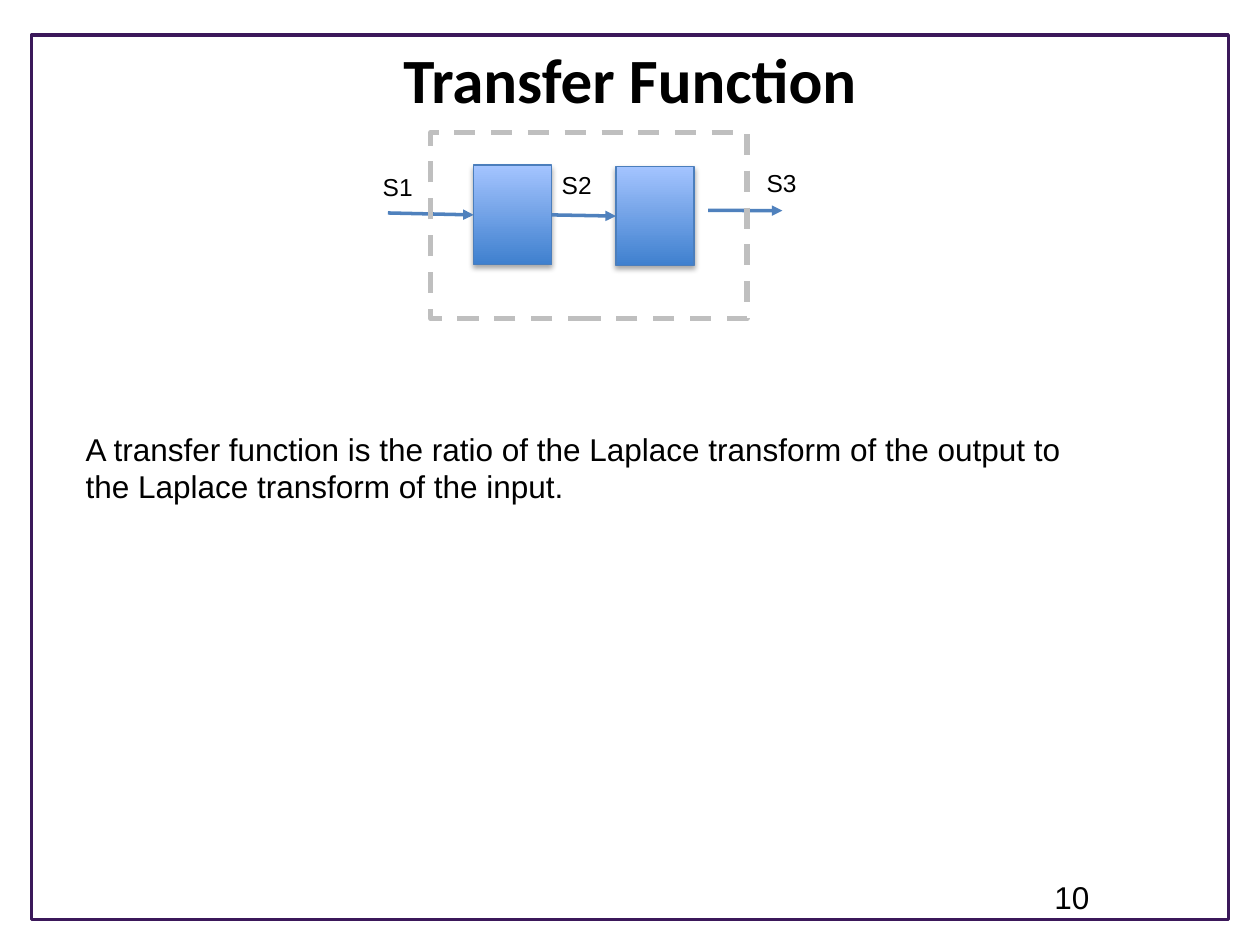
from dataclasses import dataclass

import lxml.etree
import pptx
import pptx.dml.color
import pptx.enum.dml
import pptx.enum.shapes
import pptx.enum.text
import pptx.oxml.ns
import pptx.util

Pt = pptx.util.Pt
RGB = pptx.dml.color.RGBColor.from_string
qn = pptx.oxml.ns.qn
RECTANGLE = pptx.enum.shapes.MSO_SHAPE.RECTANGLE


@dataclass(frozen=True)
class Theme:
    heading_font: str = "Calibri"
    text_font: str = "Arial"
    text: str = "000000"
    frame: str = "3B185A"
    enclosure: str = "BFBFBF"
    block_line: str = "4B7EBC"
    block_bottom: str = "3F80CE"
    block_top: str = "A4C4FF"
    arrow: str = "4F81BD"
    title_size: int = 36
    text_size: int = 18
    signal_size: int = 14


THEME = Theme()


def style_text(paragraph, size, font=THEME.text_font):
    paragraph.font.name = font
    paragraph.font.size = Pt(size)
    paragraph.font.color.rgb = RGB(THEME.text)


def add_text(shapes, box, words, size, wrap=True):
    frame = shapes.add_textbox(*map(Pt, box)).text_frame
    frame.word_wrap = wrap
    frame.text = words
    style_text(frame.paragraphs[0], size)


def add_rectangle(shapes, box, color, width):
    """Add an unfilled, shadowless rectangle."""
    rectangle = shapes.add_shape(RECTANGLE, *map(Pt, box))
    rectangle.shadow.inherit = False
    rectangle.fill.background()
    rectangle.line.color.rgb = RGB(color)
    rectangle.line.width = Pt(width)
    return rectangle


def add_block(shapes, box):
    """Add a system block with a vertical gradient and a soft shadow below."""
    block = add_rectangle(shapes, box, THEME.block_line, 0.75)
    block.fill.gradient()
    block.fill.gradient_angle = 90
    for stop, color in zip(block.fill.gradient_stops,
                           (THEME.block_bottom, THEME.block_top)):
        stop.color.rgb = RGB(color)
    effects = block._element.spPr.find(qn("a:effectLst"))
    shadow = lxml.etree.SubElement(
        effects, qn("a:outerShdw"), blurRad=str(Pt(3.1)), dist=str(Pt(1.8)),
        dir="5400000", rotWithShape="0")
    color = lxml.etree.SubElement(shadow, qn("a:srgbClr"), val="000000")
    lxml.etree.SubElement(color, qn("a:alpha"), val="35000")


def add_arrow(shapes, start, end):
    arrow = shapes.add_connector(pptx.enum.shapes.MSO_CONNECTOR.STRAIGHT,
                                 *map(Pt, start + end))
    arrow.line.color.rgb = RGB(THEME.arrow)
    arrow.line.width = Pt(2)
    properties = arrow._element.spPr
    lxml.etree.SubElement(properties.find(qn("a:ln")), qn("a:tailEnd"),
                          type="triangle")
    lxml.etree.SubElement(properties, qn("a:effectLst"))


def fill_title(slide, box, words):
    title = slide.shapes.title
    title.left, title.top, title.width, title.height = map(Pt, box)
    frame = title.text_frame
    frame.text = words
    frame.vertical_anchor = pptx.enum.text.MSO_ANCHOR.TOP
    frame.margin_top = Pt(5.4)
    heading = frame.paragraphs[0]
    heading.alignment = pptx.enum.text.PP_ALIGN.CENTER
    heading.font.bold = True
    style_text(heading, THEME.title_size, THEME.heading_font)


def add_block_diagram(slide, box):
    """Draw two blocks in series inside a dashed enclosure filling the box."""
    left, top, width, height = box
    shapes = slide.shapes.add_group_shape().shapes

    def at(x, y):
        return left + x, top + y

    block_size = (44.6, 56.9)
    for corner in ((24.5, 18.7), (105.8, 19.4)):
        add_block(shapes, at(*corner) + block_size)

    signals = (
        ("S1", (-34.6, 19.4), (-24.5, 46.1), (24.5, 47.2)),
        ("S2", (67.7, 18), (69.1, 47.2), (105.8, 47.9)),
        ("S3", (184.8, 16.6), (158.4, 44.6), (200.9, 44.8)),
    )
    for name, corner, start, end in signals:
        add_arrow(shapes, at(*start), at(*end))
        add_text(shapes, at(*corner) + (31.7, 24.5), name,
                 THEME.signal_size, wrap=False)

    enclosure = add_rectangle(shapes, box, THEME.enclosure, 3)
    enclosure.line.dash_style = pptx.enum.dml.MSO_LINE.DASH


def main():
    deck = pptx.Presentation()
    deck.slide_width, deck.slide_height = Pt(720), Pt(540)
    slide = deck.slides.add_slide(deck.slide_layouts.get_by_name("Title Only"))

    add_rectangle(slide.shapes, (18, 20, 684, 505.4), THEME.frame, 1.75)
    fill_title(slide, (36, 18, 648, 66.2), "Transfer Function")
    add_text(slide.shapes, (595.4, 498.2, 40.3, 28.8), "10", THEME.text_size)
    add_text(slide.shapes, (41.8, 241.9, 582.5, 51.1),
             "A transfer function is the ratio of the Laplace transform of "
             "the output to the Laplace transform of the input.",
             THEME.text_size)
    add_block_diagram(slide, (246.2, 75.6, 180.7, 106.6))

    deck.save("out.pptx")


if __name__ == "__main__":
    main()
